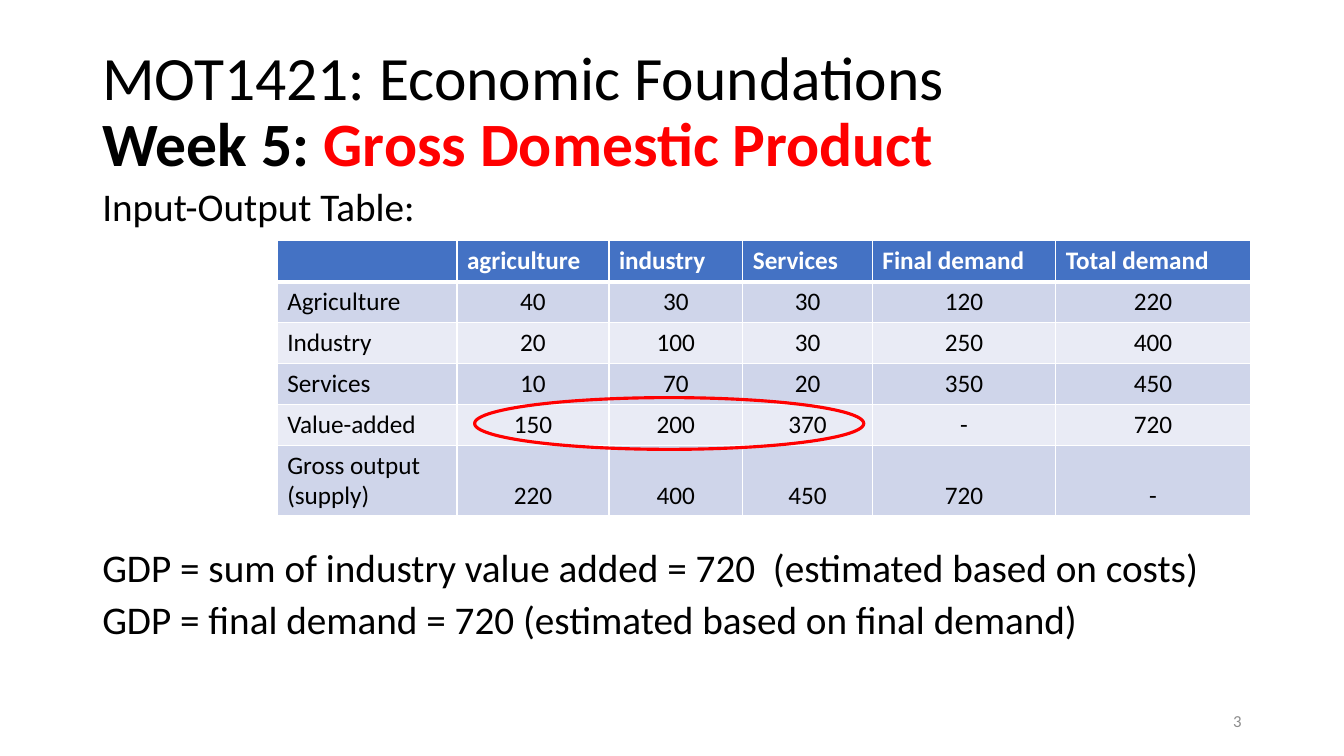
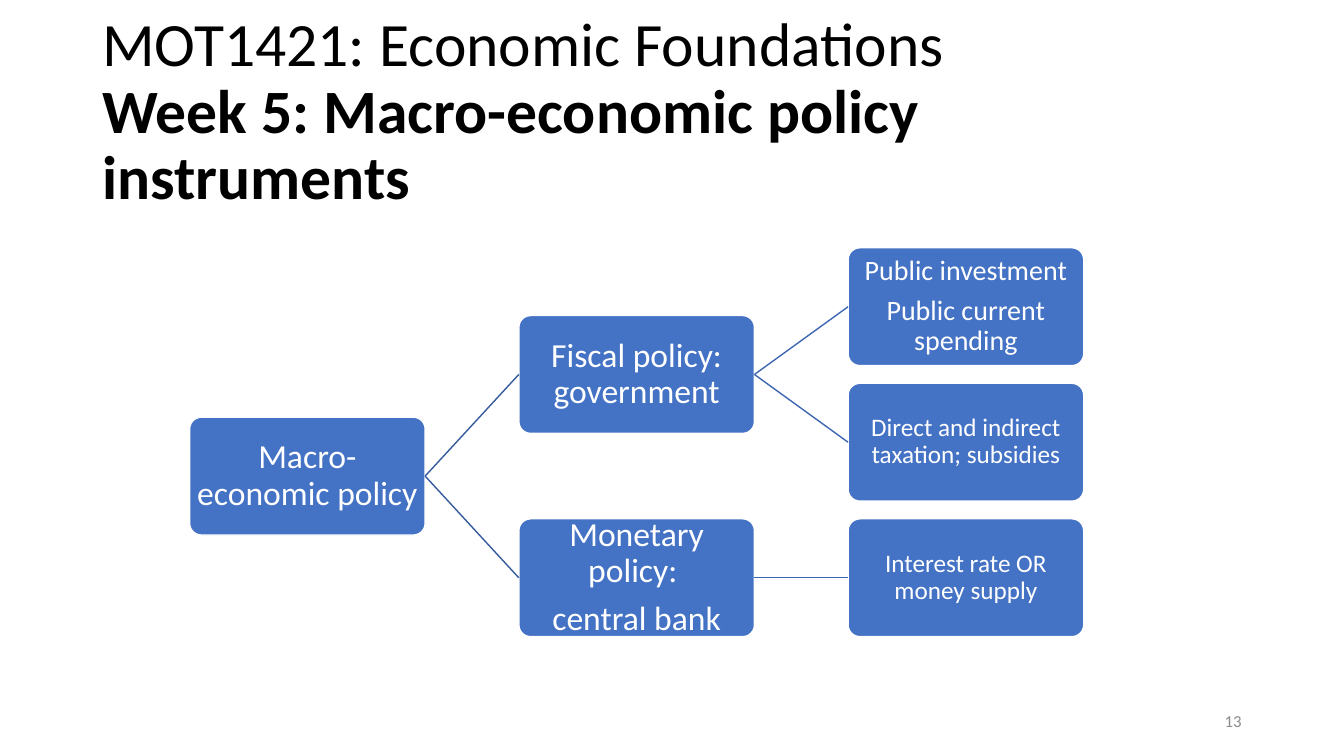
from dataclasses import dataclass
from typing import NamedTuple

from lxml.etree import SubElement
from pptx import Presentation
from pptx.dml.color import RGBColor
from pptx.enum.shapes import MSO_CONNECTOR as Connector, MSO_SHAPE as Preset
from pptx.enum.text import MSO_ANCHOR as Anchor, PP_ALIGN as Align
from pptx.oxml.ns import qn
from pptx.util import Pt


@dataclass(frozen=True)
class Theme:
    font: str = "Calibri"
    ink: str = "000000"
    paper: str = "FFFFFF"
    accent: str = "4472C4"
    highlight: str = "FF0000"
    muted: str = "8C8C8C"
    bands: tuple = ("CFD5EA", "E9EBF5")
    branches: tuple = ("365B9D", "3E67B2")
    title_size: float = 44
    body_size: float = 28
    node_size: float = 24
    table_size: float = 18
    number_size: float = 12


class Box(NamedTuple):
    left: float
    top: float
    width: float
    height: float

    def emu(self):
        return [Pt(length) for length in self]


class Node(NamedTuple):
    text: str
    children: tuple = ()
    size: float = 24


THEME = Theme()
SLIDE_WIDTH, SLIDE_HEIGHT = 960, 540
TITLE_BOX = Box(66, 28.75, 828, 104.4)
BODY_BOX = Box(66, 133.2, 828, 353)
NUMBER_BOX = Box(678, 500.5, 216, 28.75)
TABLE_BOX = Box(198, 172, 695.2, 196.4)
TREE_BOX = Box(135.4, 177, 638.7, 277.8)

HEADER = ("", "agriculture", "industry", "Services", "Final demand", "Total demand")
ROWS = (
    ("Agriculture", "40", "30", "30", "120", "220"),
    ("Industry", "20", "100", "30", "250", "400"),
    ("Services", "10", "70", "20", "350", "450"),
    ("Value-added", "150", "200", "370", "-", "720"),
    ("Gross output\n(supply)", "220", "400", "450", "720", "-"),
)
COLUMN_WIDTHS = (128.4, 108.6, 95.6, 92.6, 131, 139)
ROW_HEIGHT = 29.2

POLICY_TREE = Node("Macro-economic policy", (
    Node("Fiscal policy: government", (
        Node("Public investment\nPublic current spending", size=20),
        Node("Direct and indirect taxation; subsidies", size=18),
    )),
    Node("Monetary policy: \ncentral bank", (
        Node("Interest rate OR money supply", size=18),
    )),
))


def rgb(code):
    return RGBColor.from_string(code)


def write(frame, text, size, color=THEME.ink, bold=False, align=Align.LEFT,
          anchor=Anchor.TOP, line=1.0, before=0, after=0, margins=None):
    """Fill a frame; text is a string, or a list of lines of (words, color, bold)."""
    frame.word_wrap = True
    frame.vertical_anchor = anchor
    if margins is not None:
        frame.margin_left = frame.margin_right = Pt(margins)
        frame.margin_top = frame.margin_bottom = Pt(margins)
    if isinstance(text, str):
        text = [[(words, color, bold)] for words in text.split("\n")]
    for index, runs in enumerate(text):
        paragraph = frame.add_paragraph() if index else frame.paragraphs[0]
        paragraph.alignment = align
        paragraph.line_spacing = line
        paragraph.space_before, paragraph.space_after = Pt(before), Pt(after)
        for words, run_color, run_bold in runs:
            run = paragraph.add_run()
            run.text = words
            run.font.name, run.font.size = THEME.font, Pt(size)
            run.font.bold = run_bold
            run.font.color.rgb = rgb(run_color)


def add_text(slide, box, text, size, **format):
    write(slide.shapes.add_textbox(*box.emu()).text_frame, text, size, **format)


def add_preset(slide, preset, box, line, width, fill=None):
    shape = slide.shapes.add_shape(preset, *box.emu())
    shape.shadow.inherit = False
    if fill:
        shape.fill.solid()
        shape.fill.fore_color.rgb = rgb(fill)
    else:
        shape.fill.background()
    shape.line.color.rgb = rgb(line)
    shape.line.width = Pt(width)
    return shape


def add_course_slide(deck, topic, number):
    """Add a slide with the course title, the week's topic and a page number."""
    slide = deck.slides.add_slide(deck.slide_layouts[6])
    course = [("MOT1421: Economic Foundations", THEME.ink, False)]
    week = [(words, color, True) for words, color in topic]
    add_text(slide, TITLE_BOX, [course, week], THEME.title_size,
             anchor=Anchor.MIDDLE, line=0.9)
    add_text(slide, NUMBER_BOX, str(number), THEME.number_size, color=THEME.muted,
             align=Align.RIGHT, anchor=Anchor.MIDDLE)
    return slide


def set_borders(cell, top, bottom):
    properties = cell._tc.get_or_add_tcPr()
    for side, width in (("L", 1), ("R", 1), ("T", top), ("B", bottom)):
        edge = SubElement(properties, qn(f"a:ln{side}"), w=str(Pt(width)))
        fill = SubElement(edge, qn("a:solidFill"))
        SubElement(fill, qn("a:srgbClr"), val=THEME.paper)


def add_input_output_table(slide, box):
    grid = (HEADER,) + ROWS
    table = slide.shapes.add_table(len(grid), len(HEADER), *box.emu()).table
    table.first_row = table.horz_banding = False
    for column, width in zip(table.columns, COLUMN_WIDTHS):
        column.width = Pt(width)
    last = len(grid) - 1
    for r, values in enumerate(grid):
        table.rows[r].height = Pt(box.height - last * ROW_HEIGHT if r == last else ROW_HEIGHT)
        for c, value in enumerate(values):
            cell = table.cell(r, c)
            set_borders(cell, top=3 if r == 1 else 1, bottom=3 if r == 0 else 1)
            cell.fill.solid()
            cell.fill.fore_color.rgb = rgb(THEME.bands[(r - 1) % 2] if r else THEME.accent)
            write(cell.text_frame, value, THEME.table_size,
                  color=THEME.ink if r else THEME.paper, bold=r == 0,
                  align=Align.CENTER if r and c else Align.LEFT)
            cell.vertical_anchor = Anchor.BOTTOM if r == last else Anchor.TOP
    value_added = Box(box.left + 141, box.top + 112, 278, 37)
    add_preset(slide, Preset.OVAL, value_added, THEME.highlight, 2.25)


def add_branch(slide, parent, child, color):
    branch = slide.shapes.add_connector(Connector.STRAIGHT, 0, 0, 0, 0)
    branch.begin_connect(parent, 3)
    branch.end_connect(child, 1)
    branch.line.color.rgb = rgb(color)
    branch.line.width = Pt(1)
    SubElement(branch._element.spPr, qn("a:effectLst"))


def count_leaves(node):
    return sum(map(count_leaves, node.children)) or 1


def add_tree(slide, box, root):
    """Draw a tree from left to right, each parent centred on its children."""
    width, height = 168.3, 84.2
    column_step = (box.width - width) / 2
    row_step = (box.height - height) / (count_leaves(root) - 1)

    def place(node, level, first_row):
        children, row = [], first_row
        for child in node.children:
            children.append(place(child, level + 1, row))
            row += count_leaves(child)
        rows = [child_row for _, child_row in children]
        center = (rows[0] + rows[-1]) / 2 if rows else first_row
        area = Box(box.left + level * column_step, box.top + center * row_step, width, height)
        shape = add_preset(slide, Preset.ROUNDED_RECTANGLE, area, THEME.paper, 1, THEME.accent)
        shape.adjustments[0] = 0.1
        write(shape.text_frame, node.text, node.size, color=THEME.paper,
              align=Align.CENTER, anchor=Anchor.MIDDLE, line=0.9,
              after=0.35 * node.size, margins=1.5)
        for child_shape, _ in children:
            add_branch(slide, shape, child_shape, THEME.branches[level])
        return shape, center

    place(root, 0, 0)


def add_gdp_slide(deck):
    slide = add_course_slide(
        deck, [("Week 5: ", THEME.ink), ("Gross Domestic Product", THEME.highlight)], 3)
    body = BODY_BOX
    conclusions = ("GDP = sum of industry value added = 720  (estimated based on costs)\n"
                   "GDP = final demand = 720 (estimated based on final demand)")
    for offset, height, text in ((0, 38, "Input-Output Table:"), (258, 80, conclusions)):
        add_text(slide, Box(body.left, body.top + offset, body.width, height), text,
                 THEME.body_size, line=0.8, before=10)
    add_input_output_table(slide, TABLE_BOX)


def add_policy_slide(deck):
    slide = add_course_slide(
        deck, [("Week 5: Macro-economic policy instruments", THEME.ink)], 13)
    add_tree(slide, TREE_BOX, POLICY_TREE)


def main():
    deck = Presentation()
    deck.slide_width, deck.slide_height = Pt(SLIDE_WIDTH), Pt(SLIDE_HEIGHT)
    add_gdp_slide(deck)
    add_policy_slide(deck)
    deck.save("out.pptx")


if __name__ == "__main__":
    main()
